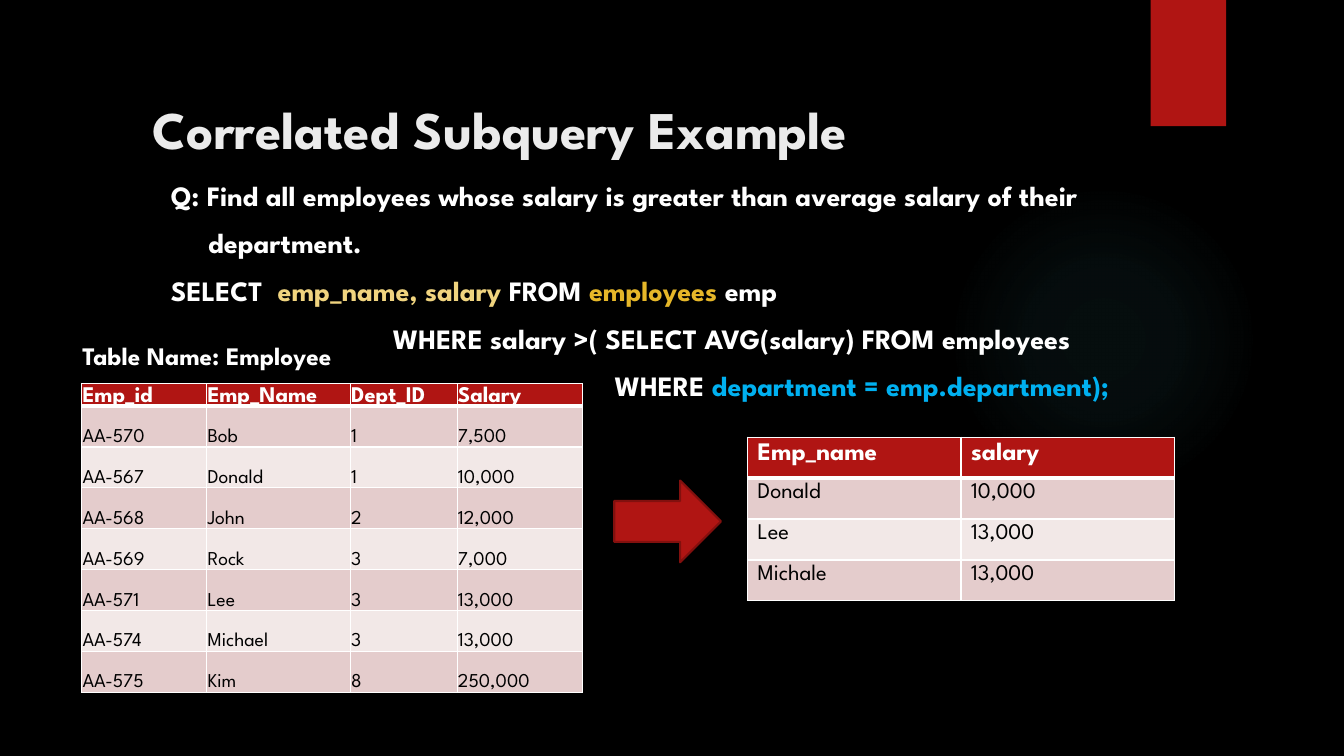
from dataclasses import dataclass
from lxml.etree import SubElement
from pptx import Presentation
from pptx.dml.color import RGBColor
from pptx.enum.shapes import MSO_SHAPE
from pptx.enum.text import MSO_ANCHOR, PP_ALIGN
from pptx.oxml import parse_xml
from pptx.oxml.ns import qn
from pptx.util import Cm, Pt

FONT = "League Spartan"
RED, WHITE, BLACK = "B01513", "FFFFFF", "000000"
BANDS = ("E4CCCC", "F2E8E7")
SIDES = ("a:lnL", "a:lnR", "a:lnT", "a:lnB")


@dataclass
class Line:
    runs: list[tuple[str, str]]
    indent: float = 0.18
    align: PP_ALIGN = PP_ALIGN.LEFT


@dataclass
class Grid:
    box: tuple[float, float]
    cols: list[float]
    heights: tuple[float, float]
    sizes: tuple[float, float]
    rows: list[list[str]]
    tight: bool = False


def color(code: str) -> RGBColor:
    return RGBColor.from_string(code)


def style(para, size: float, code: str, bold: bool = True) -> None:
    font = para.font
    font.name, font.size, font.bold = FONT, Pt(size), bold
    font.color.rgb = color(code)


def add_box(slide, box: tuple[float, ...], lines: list[Line], size: float,
            gap: float = 0) -> None:
    frame = slide.shapes.add_textbox(*map(Cm, box)).text_frame
    frame.word_wrap = True
    for i, line in enumerate(lines):
        para = frame.add_paragraph() if i else frame.paragraphs[0]
        para.alignment = line.align
        para.space_before = Pt(gap)
        para._p.get_or_add_pPr().set("marL", str(Cm(line.indent)))
        style(para, size, line.runs[0][1])
        for text, code in line.runs:
            run = para.add_run()
            run.text = text
            run.font.color.rgb = color(code)


def add_form(slide, kind: MSO_SHAPE, box: tuple[float, ...], code: str,
             edge: str = ""):
    form = slide.shapes.add_shape(kind, *map(Cm, box))
    form.shadow.inherit = False
    form.fill.solid()
    form.fill.fore_color.rgb = color(code)
    if edge:
        form.line.color.rgb = color(edge)
        form.line.width = Pt(1.5)
    else:
        form.line.fill.background()
    return form


def add_glow(slide) -> None:
    form = add_form(slide, MSO_SHAPE.OVAL, (23.9, 4.65, 7.82, 7.82), "50B9C1")
    stops = "".join(
        f'<a:gs pos="{pos}000"><a:srgbClr val="50B9C1">'
        f'<a:alpha val="{alpha}000"/></a:srgbClr></a:gs>'
        for pos, alpha in ((0, 7), (36, 6), (69, 0)))
    fill = parse_xml(
        '<a:gradFill xmlns:a="http://schemas.openxmlformats.org/drawingml/2006/main">'
        f'<a:gsLst>{stops}</a:gsLst><a:path path="circle"><a:fillToRect '
        'l="50000" t="50000" r="50000" b="50000"/></a:path></a:gradFill>')
    props = form._element.spPr
    props.replace(props.find(qn("a:solidFill")), fill)


def add_edges(cell, head: bool) -> None:
    props = cell._tc.get_or_add_tcPr()
    for i, side in enumerate(SIDES):
        wide = 3 if head and side == "a:lnB" else 1
        edge = SubElement(props, qn(side), w=str(Pt(wide)))
        fill = SubElement(edge, qn("a:solidFill"))
        SubElement(fill, qn("a:srgbClr"), val=WHITE)
        props.remove(edge)
        props.insert(i, edge)


def add_grid(slide, grid: Grid) -> None:
    count = len(grid.rows)
    first, rest = grid.heights
    size = (sum(grid.cols), first + rest * (count - 1))
    table = slide.shapes.add_table(
        count, len(grid.cols), *map(Cm, grid.box + size)).table
    for col, width in zip(table.columns, grid.cols):
        col.width = Cm(width)
    for i, row in enumerate(grid.rows):
        head = i == 0
        table.rows[i].height = Cm(first if head else rest)
        for j, text in enumerate(row):
            cell = table.cell(i, j)
            cell.text = text
            para = cell.text_frame.paragraphs[0]
            if grid.tight:
                cell.vertical_anchor = MSO_ANCHOR.BOTTOM
                cell.margin_left = cell.margin_right = cell.margin_top = Cm(0.02)
                cell.margin_bottom = 0
                para.line_spacing = 0.8 if head else 1.0
            cell.fill.solid()
            cell.fill.fore_color.rgb = color(RED if head else BANDS[(i - 1) % 2])
            style(para, grid.sizes[0 if head else 1],
                  WHITE if head else BLACK, head)
            add_edges(cell, head)


QUERY = [
    Line([("Q: Find all employees whose salary is greater than average "
           "salary of their", WHITE)]),
    Line([("department.", WHITE)], 1.12),
    Line([("SELECT  ", WHITE), ("emp_name, salary ", "F0D47F"),
          ("FROM ", WHITE), ("employees ", "E6B729"), ("emp", WHITE)]),
    Line([("WHERE salary >( SELECT AVG(salary) FROM employees", WHITE)],
         0.71, PP_ALIGN.CENTER),
    Line([("WHERE ", WHITE), ("department = emp.department);", "00B0F0")],
         7.27, PP_ALIGN.CENTER),
]
STAFF = Grid((2.06, 9.67), [3.15, 3.62, 2.69, 3.15], (0.56, 1.03), (16, 14), [
    ["Emp_id", "Emp_Name", "Dept_ID", "Salary"],
    ["AA-570", "Bob", "1", "7,500"],
    ["AA-567", "Donald", "1", "10,000"],
    ["AA-568", "John", "2", "12,000"],
    ["AA-569", "Rock", "3", "7,000"],
    ["AA-571", "Lee", "3", "13,000"],
    ["AA-574", "Michael", "3", "13,000"],
    ["AA-575", "Kim", "8", "250,000"],
], True)
RESULT = Grid((18.84, 11.02), [5.38, 5.38], (1.03, 1.03), (18, 16), [
    ["Emp_name", "salary"],
    ["Donald", "10,000"],
    ["Lee", "13,000"],
    ["Michale", "13,000"],
])


def main() -> None:
    deck = Presentation()
    deck.slide_width, deck.slide_height = Cm(33.87), Cm(19.05)
    slide = deck.slides.add_slide(deck.slide_layouts[6])

    # Backdrop
    slide.background.fill.solid()
    slide.background.fill.fore_color.rgb = color(BLACK)
    add_glow(slide)
    add_form(slide, MSO_SHAPE.RECTANGLE, (29, 0, 1.9, 3.18), RED)

    # Title and query
    add_box(slide, (3.6, 2.32, 26.01, 1.57),
            [Line([("Correlated Subquery Example", "EBEBEB")], 0)], 37.8)
    add_box(slide, (3.88, 4.37, 28.42, 11.84), QUERY, 20, 10)

    # Tables and arrow
    add_grid(slide, STAFF)
    add_form(slide, MSO_SHAPE.RIGHT_ARROW, (15.48, 12.11, 2.69, 2.06),
             RED, "82100E")
    add_grid(slide, RESULT)
    add_box(slide, (1.83, 8.46, 8.81, 1.02),
            [Line([("Table Name: Employee", WHITE)], 0)], 18)

    deck.save("out.pptx")


if __name__ == "__main__":
    main()
